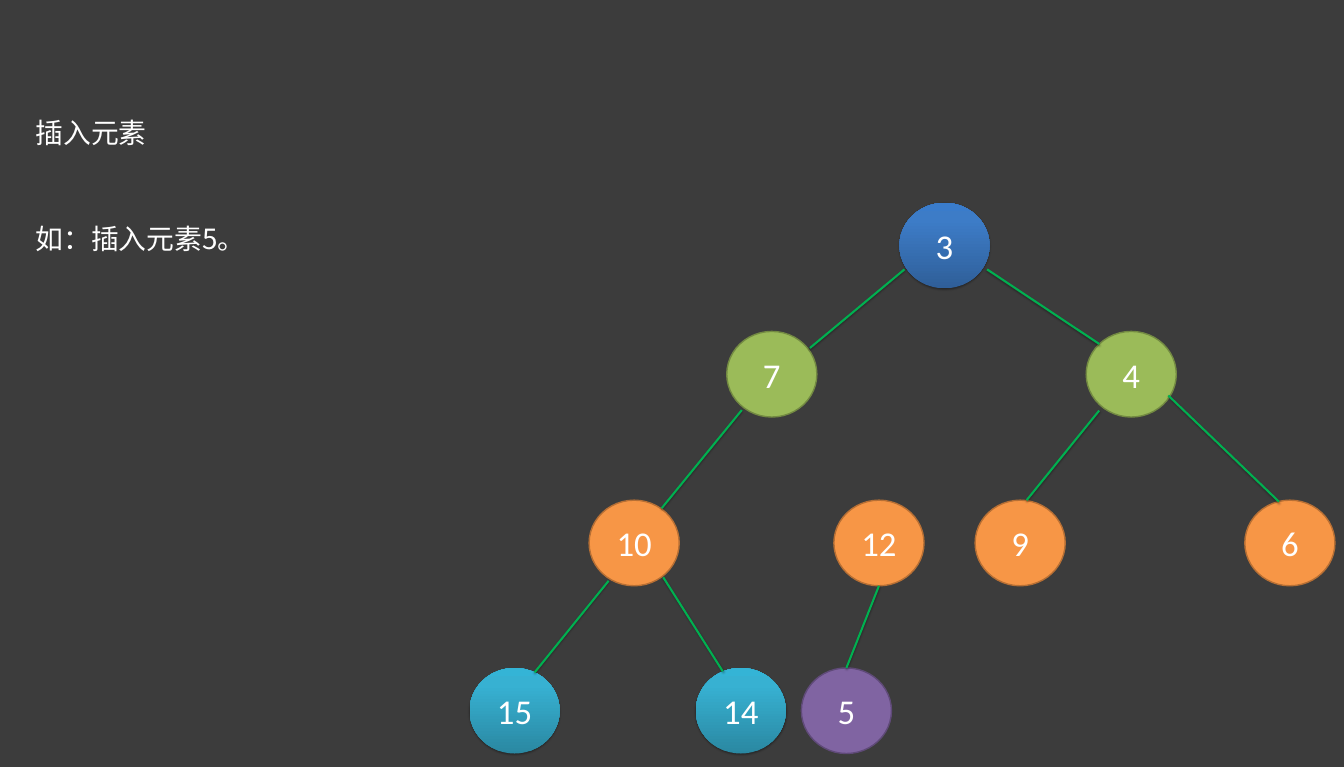
from copy import deepcopy

from lxml import etree
from pptx import Presentation
from pptx import util as u
from pptx.dml.color import RGBColor
from pptx.enum import shapes, text
from pptx.oxml import ns

BACK, WHITE, GREEN = "3C3C3C", "FFFFFF", "00B050"
WIDE, HIGH = 129.6, 123.1  # node size

# Each level: top, fill, outline (None for a gradient fill), left of each node
BLUE = ["2F5F99", "3D7CC7", "3A7CCB"]
TEAL = ["2A88A2", "37B1D2", "34B4D6"]
LEVELS = [
    (291.6, BLUE, None, {"3": 1293.8}),
    (476.6, "9BBB59", "738A42", {"7": 1045.4, "4": 1562.4}),
    (719.3, "F79646", "B76F34",
     {"10": 847.4, "9": 1402.6, "12": 1199.5, "6": 1790.6}),
    (960.5, TEAL, None, {"15": 675.4, "14": 1000.8}),
    (960.5, "8064A2", "5F4A78", {"5": 1152.7}),
]
EDGES = [
    (1301, 387.4, 1165, 500.4),
    (1419.8, 387.4, 1581.1, 494.6),
    (875.5, 835.2, 769, 967),
    (1067, 589.7, 951.8, 730.8),
    (1680.5, 568.8, 1839.6, 721.4),
    (1581.1, 590.4, 1476.7, 719.3),
    (954, 830.2, 1039.7, 965.5),
]


def color(code):
    return RGBColor.from_string(code)


def pts(*nums):
    return [u.Pt(n) for n in nums]


def shade(item):
    """Give a shape or connector a soft shadow straight below it."""
    props = item._element.spPr
    old = props.find(ns.qn("a:effectLst"))
    if old is not None:
        props.remove(old)
    list_ = etree.SubElement(props, ns.qn("a:effectLst"))
    cast = etree.SubElement(
        list_, ns.qn("a:outerShdw"), blurRad=str(u.Pt(3.1)),
        dist=str(u.Pt(1.8)), dir="5400000", rotWithShape="0")
    tint = etree.SubElement(cast, ns.qn("a:srgbClr"), val="000000")
    etree.SubElement(tint, ns.qn("a:alpha"), val="35000")


def blend(fill, codes):
    """Fill upward from the first colour, with stops at 0, 80 and 100 %."""
    fill.gradient()
    fill.gradient_angle = 90
    list_ = fill._xPr.find(ns.qn("a:gradFill")).find(ns.qn("a:gsLst"))
    list_.append(deepcopy(list_[-1]))
    for stop, place, code in zip(fill.gradient_stops, (0, 0.8, 1), codes):
        stop.position = place
        stop.color.rgb = color(code)


class Board:
    def __init__(self, slide):
        self.shapes = slide.shapes
        self.font = "Calibri"
        self.hand = "Noto Sans CJK SC"
        fill = slide.background.fill
        fill.solid()
        fill.fore_color.rgb = color(BACK)

    def put(self, para, words, size, font):
        """Add one white run to a paragraph."""
        run = para.add_run()
        run.text = words
        run.font.size = u.Pt(size)
        run.font.name = font
        run.font.color.rgb = color(WHITE)
        east = etree.SubElement(run.font._element, ns.qn("a:ea"))
        east.set("typeface", self.hand)

    def node(self, label, left, top, fill, edge):
        ball = self.shapes.add_shape(
            shapes.MSO_SHAPE.OVAL, *pts(left, top, WIDE, HIGH))
        ball.shadow.inherit = False
        if edge:
            ball.fill.solid()
            ball.fill.fore_color.rgb = color(fill)
            ball.line.color.rgb = color(edge)
            ball.line.width = u.Pt(2)
        else:
            blend(ball.fill, fill)
            ball.line.fill.background()
            shade(ball)
        frame = ball.text_frame
        frame.vertical_anchor = text.MSO_ANCHOR.MIDDLE
        para = frame.paragraphs[0]
        para.alignment = text.PP_ALIGN.CENTER
        self.put(para, label, 50, self.font)
        return ball

    def edge(self, *ends):
        line = self.shapes.add_connector(
            shapes.MSO_CONNECTOR.STRAIGHT, *pts(*ends))
        line.line.color.rgb = color(GREEN)
        line.line.width = u.Pt(3)
        shade(line)
        return line

    def notes(self, box, lines, pitch):
        """Set lines on a fixed pitch, with one pitch free between them."""
        area = self.shapes.add_textbox(*pts(*box))
        area.fill.solid()
        area.fill.fore_color.rgb = color(BACK)
        frame = area.text_frame
        frame.word_wrap = True
        frame.margin_left = frame.margin_right = 0
        frame.margin_top = frame.margin_bottom = 0
        for i, words in enumerate(lines):
            para = frame.add_paragraph() if i else frame.paragraphs[0]
            para.line_spacing = u.Pt(pitch)
            if i:
                para.space_before = u.Pt(pitch)
            self.put(para, words, 40, self.hand)


def main():
    deck = Presentation()
    deck.slide_width, deck.slide_height = pts(1933.2, 1103)
    board = Board(deck.slides.add_slide(deck.slide_layouts[6]))

    board.notes((51.1, 139, 824.4, 355), ["插入元素", "如：插入元素5。"], 76.1)
    nodes = {}
    for top, fill, edge, row in LEVELS:
        for label, left in row.items():
            nodes[label] = board.node(label, left, top, fill, edge)
    for ends in EDGES:
        board.edge(*ends)
    board.edge(1264.3, 842.4, 1217.5, 960.5).end_connect(nodes["5"], 0)

    deck.save("out.pptx")


if __name__ == "__main__":
    main()
